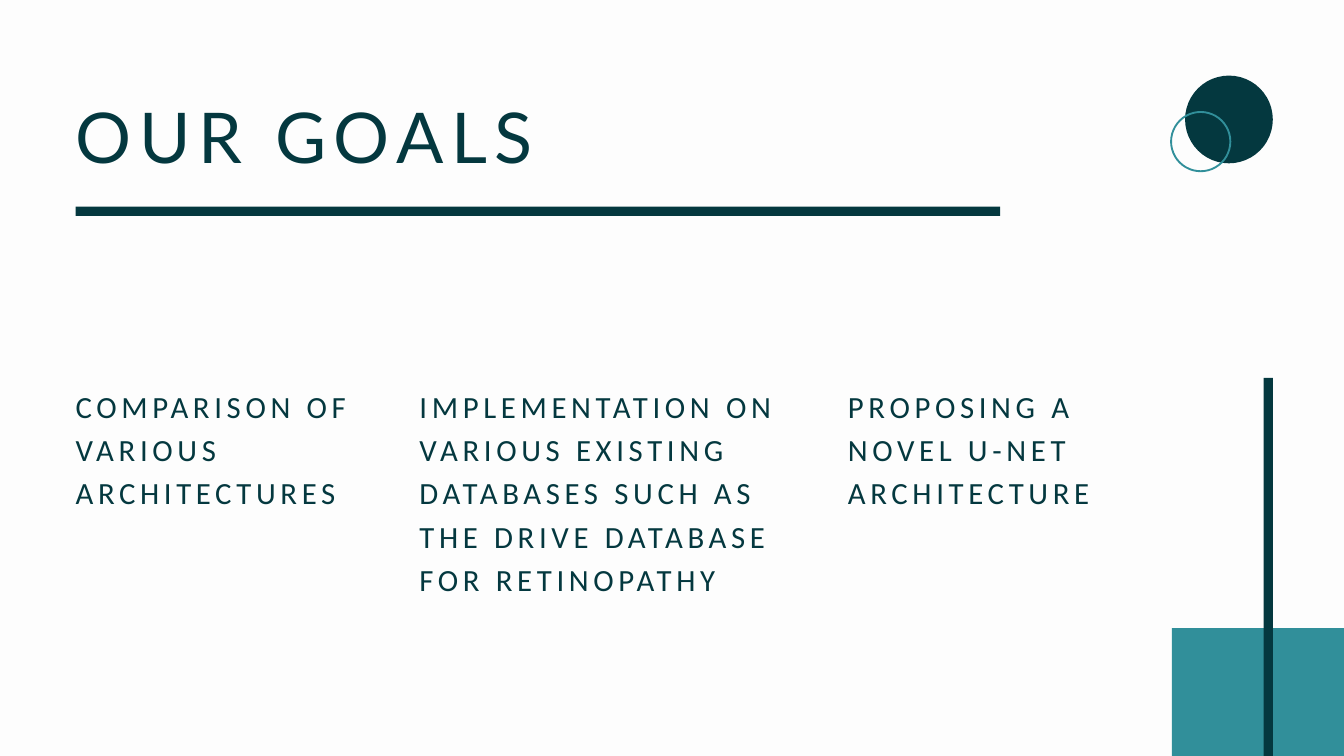
from pptx import Presentation
from pptx.dml.color import RGBColor
from pptx.enum.shapes import MSO_SHAPE
from pptx.util import Pt

RECT = MSO_SHAPE.RECTANGLE
OVAL = MSO_SHAPE.OVAL

COLORS = {"background": "FDFDFD", "dark": "04383F", "teal": "318F9A"}
WIDTH, HEIGHT = 1440, 810


class Deck:
    """Style and current slide; all lengths are in points."""

    def __init__(self):
        self.prs = Presentation()
        self.prs.slide_width, self.prs.slide_height = Pt(WIDTH), Pt(HEIGHT)
        self.s = self.prs.slides.add_slide(self.prs.slide_layouts[6])
        fill = self.s.background.fill
        fill.solid()
        fill.fore_color.rgb = self.color("background")

    def color(self, name):
        return RGBColor.from_string(COLORS[name])

    def shape(self, kind, x, y, w, h, fill=None, line=None):
        sp = self.s.shapes.add_shape(kind, Pt(x), Pt(y), Pt(w), Pt(h))
        sp.shadow.inherit = False
        if fill:
            sp.fill.solid()
            sp.fill.fore_color.rgb = self.color(fill)
        else:
            sp.fill.background()
        if line:
            sp.line.color.rgb = self.color(line)
            sp.line.width = Pt(2)
        else:
            sp.line.fill.background()

    def text(self, x, y, w, h, text, font, size, leading, tracking):
        sp = self.s.shapes.add_textbox(Pt(x), Pt(y), Pt(w), Pt(h))
        tf = sp.text_frame
        tf.word_wrap = True
        tf.margin_left = tf.margin_top = tf.margin_right = tf.margin_bottom = 0
        p = tf.paragraphs[0]
        p.line_spacing = Pt(leading)
        p.font.name, p.font.size = font, Pt(size)
        p.font.color.rgb = self.color("dark")
        r = p.add_run()
        r.text = text
        # Letter spacing, in hundredths of a point
        r._r.get_or_add_rPr().set("spc", str(round(tracking * 100)))


def main():
    deck = Deck()
    left = 81

    # Corner block and vertical bar, both running to the slide's edge
    block_x, block_y, bar_y = 1255.5, 673, 405
    deck.shape(RECT, block_x, block_y, WIDTH - block_x, HEIGHT - block_y, "teal")
    deck.shape(RECT, 1354, bar_y, 9.75, HEIGHT - bar_y, "dark")

    # Disc and ring
    deck.shape(OVAL, 1269.75, 81, 94, 94, "dark")
    deck.shape(OVAL, 1254.75, 120, 63.5, 63.5, line="teal")

    # Title and rule
    deck.text(left, 85, 991, 98.5, "OUR GOALS", "Lato", 75, 105, 8.2)
    deck.shape(RECT, left, 221.5, 990.5, 9.75, "dark")

    # Goals
    leading = 46.2
    goals = [
        (left, 315.5, 3, "COMPARISON OF VARIOUS ARCHITECTURES"),
        (449.5, 407, 5, "IMPLEMENTATION ON VARIOUS EXISTING DATABASES "
                        "SUCH AS THE DRIVE DATABASE FOR RETINOPATHY"),
        (908.5, 278, 3, "PROPOSING A NOVEL U-NET ARCHITECTURE"),
    ]
    for x, width, lines, goal in goals:
        deck.text(x, 409, width, lines * leading, goal, "Calibri", 33, leading, 5)

    deck.prs.save("out.pptx")


if __name__ == "__main__":
    main()
